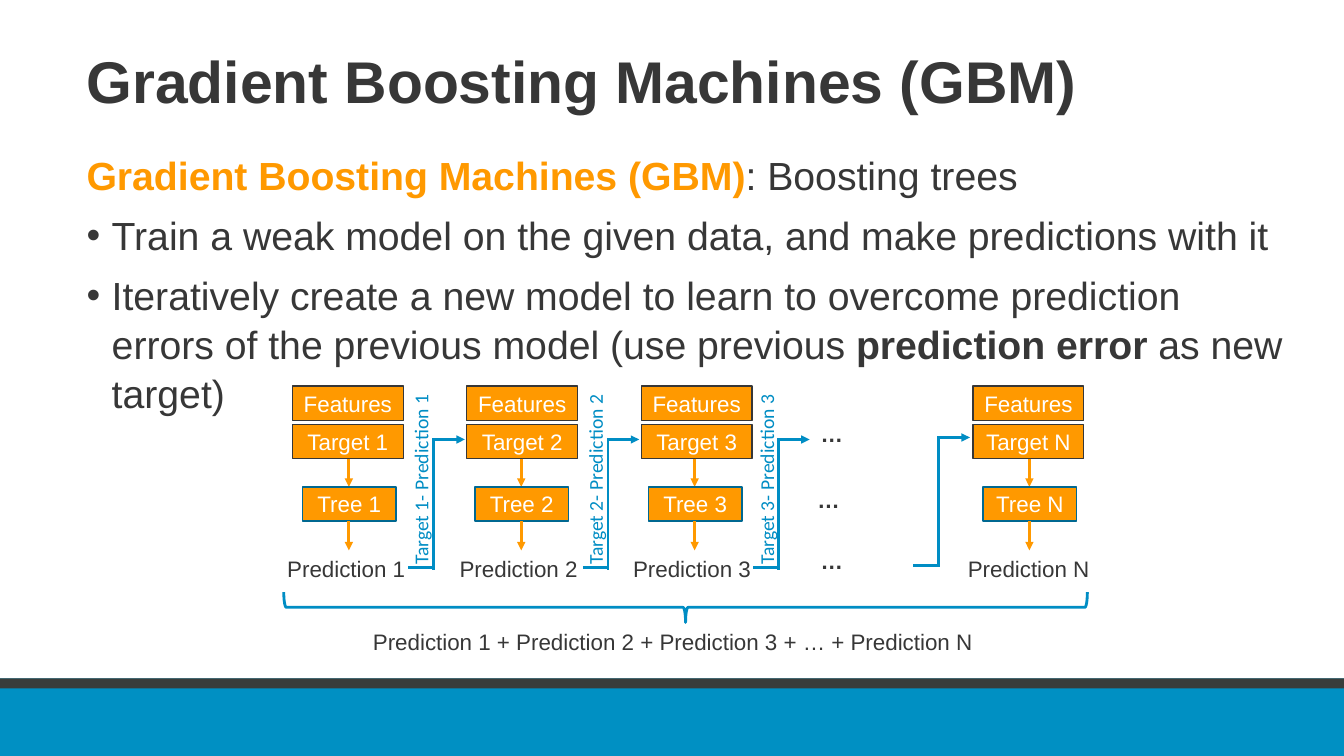
import pptx
import pptx.util
import pptx.dml.color
import pptx.enum.shapes
import pptx.enum.text
import pptx.oxml
import pptx.oxml.ns

Inches = pptx.util.Inches
Pt = pptx.util.Pt
SHAPES = pptx.enum.shapes.MSO_SHAPE
ALIGN = pptx.enum.text.PP_ALIGN
ANCHOR = pptx.enum.text.MSO_ANCHOR

DARK = "373737"
ORANGE = "FF9900"
BLUE = "008DC4"
TREE_BORDER = "006891"
WHITE = "FFFFFF"


def color(hex_string):
    return pptx.dml.color.RGBColor.from_string(hex_string)


def make_element(name, **attributes):
    element = pptx.oxml.parse_xml(f"<a:{name} {pptx.oxml.ns.nsdecls('a')}/>")
    for key, value in attributes.items():
        element.set(key, value)
    return element


def add_run(paragraph, text, size, hex_color=DARK, bold=False, font="Arial"):
    run = paragraph.add_run()
    run.text = text
    run.font.name = font
    run.font.size = Pt(size)
    run.font.bold = bold
    run.font.color.rgb = color(hex_color)


def add_bullet(paragraph):
    properties = paragraph._p.get_or_add_pPr()
    properties.set("marL", str(Inches(0.25)))
    properties.set("indent", str(Inches(-0.25)))
    properties.append(make_element("buFont", typeface="Arial"))
    properties.append(make_element("buChar", char="•"))


def add_shape(slide, kind, left, top, width, height, fill=None, line=None, line_width=1):
    shape = slide.shapes.add_shape(
        kind, Inches(left), Inches(top), Inches(width), Inches(height))
    shape.shadow.inherit = False
    if fill:
        shape.fill.solid()
        shape.fill.fore_color.rgb = color(fill)
    else:
        shape.fill.background()
    if line:
        shape.line.color.rgb = color(line)
        shape.line.width = Pt(line_width)
    else:
        shape.line.fill.background()
    return shape


def add_box(slide, text, left, top, width, border):
    shape = add_shape(slide, SHAPES.RECTANGLE, left, top, width, 0.34, ORANGE, border)
    frame = shape.text_frame
    frame.word_wrap = False
    frame.vertical_anchor = ANCHOR.MIDDLE
    paragraph = frame.paragraphs[0]
    paragraph.alignment = ALIGN.CENTER
    add_run(paragraph, text, 16, WHITE)


def add_label(slide, text, left, top, width, height=0.37, bold=False):
    box = slide.shapes.add_textbox(
        Inches(left), Inches(top), Inches(width), Inches(height))
    box.text_frame.word_wrap = True
    add_run(box.text_frame.paragraphs[0], text, 16, DARK, bold)


def add_vertical_label(slide, text, left):
    box = slide.shapes.add_textbox(
        Inches(left), Inches(4.59), Inches(1.91), Inches(0.34))
    box.rotation = 270
    box.text_frame.word_wrap = False
    paragraph = box.text_frame.paragraphs[0]
    paragraph.alignment = ALIGN.CENTER
    add_run(paragraph, text, 14, BLUE, font="Calibri")


def add_line(slide, start, end, hex_color, arrow=False):
    connector = slide.shapes.add_connector(
        pptx.enum.shapes.MSO_CONNECTOR.STRAIGHT,
        Inches(start[0]), Inches(start[1]), Inches(end[0]), Inches(end[1]))
    connector.line.color.rgb = color(hex_color)
    connector.line.width = Pt(2)
    if arrow:
        connector.line._get_or_add_ln().append(make_element("tailEnd", type="triangle"))
    connector._element.spPr.append(make_element("effectLst"))


def add_title(slide):
    title = slide.shapes.title
    title.left, title.top = Inches(0.76), Inches(0.32)
    title.width, title.height = Inches(12.15), Inches(1.08)
    title.text_frame.vertical_anchor = ANCHOR.MIDDLE
    paragraph = title.text_frame.paragraphs[0]
    paragraph.alignment = ALIGN.LEFT
    paragraph.line_spacing = 0.8
    add_run(paragraph, "Gradient Boosting Machines (GBM)", 42, bold=True)


def add_body(slide):
    box = slide.shapes.add_textbox(
        Inches(0.76), Inches(1.43), Inches(12.15), Inches(2.6))
    frame = box.text_frame
    frame.word_wrap = True
    intro = frame.paragraphs[0]
    add_run(intro, "Gradient Boosting Machines (GBM)", 28, ORANGE, True)
    add_run(intro, ": Boosting trees", 28)
    bullets = [
        [("Train a weak model on the given data, and make predictions with it", False)],
        [("Iteratively create a new model to learn to overcome prediction errors "
          "of the previous model (use previous ", False),
         ("prediction error ", True),
         ("as new target)", False)],
    ]
    for runs in bullets:
        paragraph = frame.add_paragraph()
        add_bullet(paragraph)
        paragraph.space_before = Pt(8)
        for text, bold in runs:
            add_run(paragraph, text, 28, bold=bold)
    for paragraph in frame.paragraphs:
        paragraph.line_spacing = 1.04


def add_stage(slide, name, box_left, tree_left):
    center = tree_left + 0.46
    add_box(slide, "Features", box_left, 3.83, 1.1, DARK)
    add_box(slide, f"Target {name}", box_left, 4.21, 1.1, DARK)
    add_line(slide, (center, 4.55), (center, 4.83), ORANGE, True)
    add_box(slide, f"Tree {name}", tree_left, 4.83, 0.93, TREE_BORDER)
    add_line(slide, (center, 5.17), (center, 5.46), ORANGE, True)
    add_label(slide, f"Prediction {name}", tree_left - 0.25, 5.46, 1.42)


def add_feedback(slide, x, top):
    bottom = top + 1.27
    add_line(slide, (x, top - 0.01), (x, bottom + 0.02), BLUE)
    add_line(slide, (x - 0.01, top), (x + 0.31, top), BLUE, True)
    add_line(slide, (x - 0.25, bottom), (x, bottom), BLUE)


def main():
    presentation = pptx.Presentation()
    presentation.slide_width = Inches(13.33)
    presentation.slide_height = Inches(7.5)
    slide = presentation.slides.add_slide(presentation.slide_layouts[5])

    add_shape(slide, SHAPES.RECTANGLE, 0, 6.73, 13.33, 0.77, "0090C3")
    add_shape(slide, SHAPES.RECTANGLE, 0, 6.73, 13.33, 0.1, "383D3B")
    add_title(slide)
    add_body(slide)

    stages = [("1", 2.9, 3.0), ("2", 4.63, 4.71), ("3", 6.36, 6.43), ("N", 9.65, 9.75)]
    for name, box_left, tree_left in stages:
        add_stage(slide, name, box_left, tree_left)
    for x, top in [(4.3, 4.36), (6.03, 4.36), (7.72, 4.36), (9.31, 4.34)]:
        add_feedback(slide, x, top)
    for name, left in [("1", 3.22), ("2", 4.95), ("3", 6.65)]:
        add_vertical_label(slide, f"Target {name}- Prediction {name}", left)
    for left, top in [(8.04, 4.12), (8.01, 4.77), (8.04, 5.38)]:
        add_label(slide, "…", left, top, 0.5, 0.27, True)

    brace = add_shape(slide, SHAPES.LEFT_BRACE, 6.65, 2.04, 0.3, 7.97,
                      line=BLUE, line_width=2)
    brace.rotation = 270
    add_label(slide, "Prediction 1 + Prediction 2 + Prediction 3 + … + Prediction N",
              3.6, 6.18, 6.39)

    presentation.save("out.pptx")


if __name__ == "__main__":
    main()
